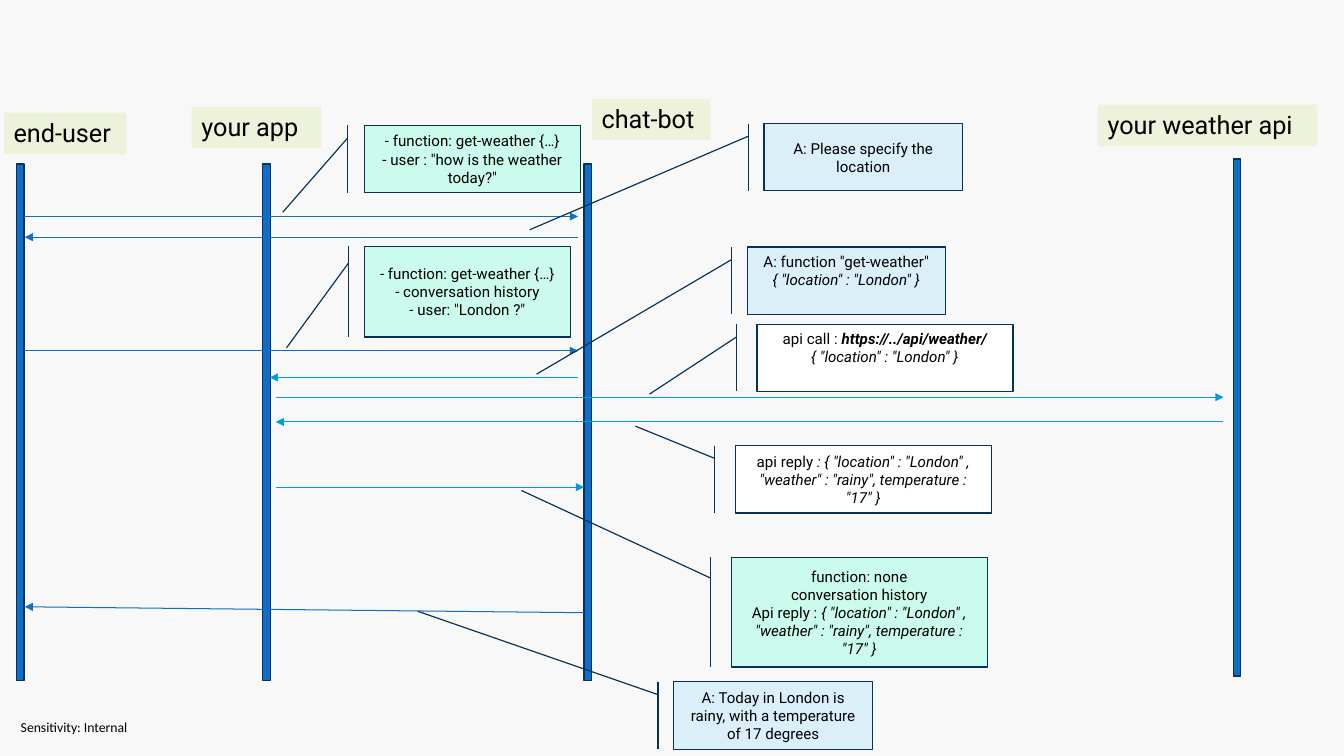
from lxml import etree
from pptx import Presentation
from pptx.dml.color import RGBColor
from pptx.enum.shapes import MSO_CONNECTOR, MSO_SHAPE
from pptx.enum.text import MSO_ANCHOR, PP_ALIGN
from pptx.oxml.ns import qn
from pptx.util import Pt

RECTANGLE = MSO_SHAPE.RECTANGLE
CALLOUT = MSO_SHAPE.LINE_CALLOUT_1_BORDER_AND_ACCENT_BAR
STRAIGHT = MSO_CONNECTOR.STRAIGHT
TOP, MIDDLE = MSO_ANCHOR.TOP, MSO_ANCHOR.MIDDLE
LEFT, CENTER = PP_ALIGN.LEFT, PP_ALIGN.CENTER

COLORS = {
    "background": "F8F8F8",
    "text": "000000",
    "bar": "0F6FC6",
    "outline": "073157",
    "api": "009DD9",
    "label": "EDF3DB",
    "request": "CAFBED",
    "answer": "DBEFF9",
    "call": "FFFFFF",
}
BAR_WIDTH, BAR_HEIGHT, LABEL_HEIGHT = 5.3, 376.6, 30.2
OUTLINE_WIDTH = 0.85
CALLOUT_START = (0.19, -0.08)

# name, label (left, top, width), lifeline (left, top)
PARTICIPANTS = [
    ("end-user", (2.9, 82.1, 89.3), (12.2, 119.5)),
    ("your app", (139.7, 77.8, 94.3), (191.5, 119.5)),
    ("chat-bot", (431.3, 72, 86.4), (425.5, 119.5)),
    ("your weather api", (799.9, 76.3, 159.8), (898.6, 115.9)),
]

# start x, start y, end x, end y, colour, width
MESSAGES = [
    (17.5, 157.7, 421.2, 157.7, "bar", 0.75),
    (421.2, 172.8, 18, 172.8, "bar", 0.75),
    (17.5, 255.6, 421.2, 255.6, "bar", 0.75),
    (421.2, 275, 196.6, 275, "api", 0.85),
    (200.9, 289.4, 891.4, 289.4, "api", 0.85),
    (200.9, 355, 425.5, 355, "api", 0.85),
    (425.5, 446.4, 18, 442.1, "bar", 0.75),
    (891.4, 307.4, 200.9, 307.4, "api", 0.85),
]

REPLY = '{ "location" : "London" , "weather" : "rainy", temperature : "17" }'
LOCATION = '{ "location" : "London" }'

# frame, pointer end (y, x), fill, anchor, lines of (text, style)
NOTES = [
    ((265.7, 91.4, 157, 49), (1.29, -0.38), "request", MIDDLE,
     [[("- function: get-weather {…}", "")],
      [('- user : "how is the weather today?"', "")]]),
    ((265.7, 179.3, 149.8, 66.2), (1.12, -0.38), "request", MIDDLE,
     [[("- function: get-weather {…}", "")],
      [("- conversation history", "")],
      [('- user: "London ?"', "")]]),
    ((556.6, 90, 144.7, 49), (1.58, -1.18), "answer", MIDDLE,
     [[("A: Please specify the location", "")]]),
    ((544.3, 180, 144.7, 49), (1.89, -1.06), "answer", TOP,
     [[('A: function "get-weather"', "")], [(LOCATION, "i")]]),
    ((551.5, 236.2, 186.5, 49), (1.04, -0.42), "call", TOP,
     [[("api call : ", ""), ("https://../api/weather/", "bi")], [(LOCATION, "i")]]),
    ((535.7, 324.7, 186.5, 49), (-0.29, -0.39), "call", MIDDLE,
     [[("api reply ", ""), (": " + REPLY, "i")]]),
    ((532.8, 406.1, 186.5, 79.9), (-0.61, -0.82), "request", MIDDLE,
     [[("function: none", "")],
      [("conversation history", "")],
      [("Api reply : ", ""), (REPLY, "i")]]),
    ((491, 496.8, 144.7, 49), (-1.05, -1.29), "answer", MIDDLE,
     [[("A: Today in London is rainy, with a temperature of 17 degrees", "")]]),
]
FOOTER = "Sensitivity: Internal"


def color(name):
    return RGBColor.from_string(COLORS[name])


def points(values):
    return [Pt(value) for value in values]


def paint(shape, fill):
    shape.shadow.inherit = False
    shape.fill.solid()
    shape.fill.fore_color.rgb = color(fill)
    shape.line.color.rgb = color("outline")
    shape.line.width = Pt(OUTLINE_WIDTH)


def style_span(span, size, font="Roboto", style=""):
    span.font.size = Pt(size)
    span.font.name = font
    span.font.bold = "b" in style
    span.font.italic = "i" in style
    span.font.color.rgb = color("text")


def add_bar(slide, left, top):
    bar = slide.shapes.add_shape(RECTANGLE, *points((left, top, BAR_WIDTH, BAR_HEIGHT)))
    paint(bar, "bar")


def add_text(slide, frame, text, size, font="Roboto"):
    box = slide.shapes.add_textbox(*points(frame))
    box.text_frame.word_wrap = True
    para = box.text_frame.paragraphs[0]
    para.text = text
    para.alignment = LEFT
    style_span(para.runs[0], size, font)
    return box


def add_message(slide, start_x, start_y, end_x, end_y, line_color, width):
    arrow = slide.shapes.add_connector(STRAIGHT, *points((start_x, start_y, end_x, end_y)))
    arrow.line.color.rgb = color(line_color)
    arrow.line.width = Pt(width)
    outline = arrow.line._get_or_add_ln()
    etree.SubElement(outline, qn("a:tailEnd"), type="triangle")
    etree.SubElement(arrow._element.spPr, qn("a:effectLst"))


def add_note(slide, frame, pointer, fill, anchor, lines):
    note = slide.shapes.add_shape(CALLOUT, *points(frame))
    for index, value in enumerate(CALLOUT_START + pointer):
        note.adjustments[index] = value
    paint(note, fill)
    note.text_frame.word_wrap = True
    note.text_frame.vertical_anchor = anchor
    para = note.text_frame.paragraphs[0]
    para.alignment = CENTER
    for index, line in enumerate(lines):
        if index:
            para.add_line_break()
        for text, style in line:
            span = para.add_run()
            span.text = text
            style_span(span, 11, style=style)


def main():
    deck = Presentation()
    deck.slide_width, deck.slide_height = Pt(979.2), Pt(550.8)
    slide = deck.slides.add_slide(deck.slide_layouts[6])
    slide.background.fill.solid()
    slide.background.fill.fore_color.rgb = color("background")

    for name, label, bar in PARTICIPANTS:
        add_bar(slide, *bar)
    for message in MESSAGES:
        add_message(slide, *message)
    for note in NOTES:
        add_note(slide, *note)
    for name, label, bar in PARTICIPANTS:
        box = add_text(slide, (*label, LABEL_HEIGHT), name, 18.4)
        box.fill.solid()
        box.fill.fore_color.rgb = color("label")

    footer = add_text(slide, (15.1, 523.4, 90, 12.2), FOOTER, 10, "Calibri").text_frame
    footer.margin_left = footer.margin_right = footer.margin_top = footer.margin_bottom = 0
    deck.save("out.pptx")


if __name__ == "__main__":
    main()
